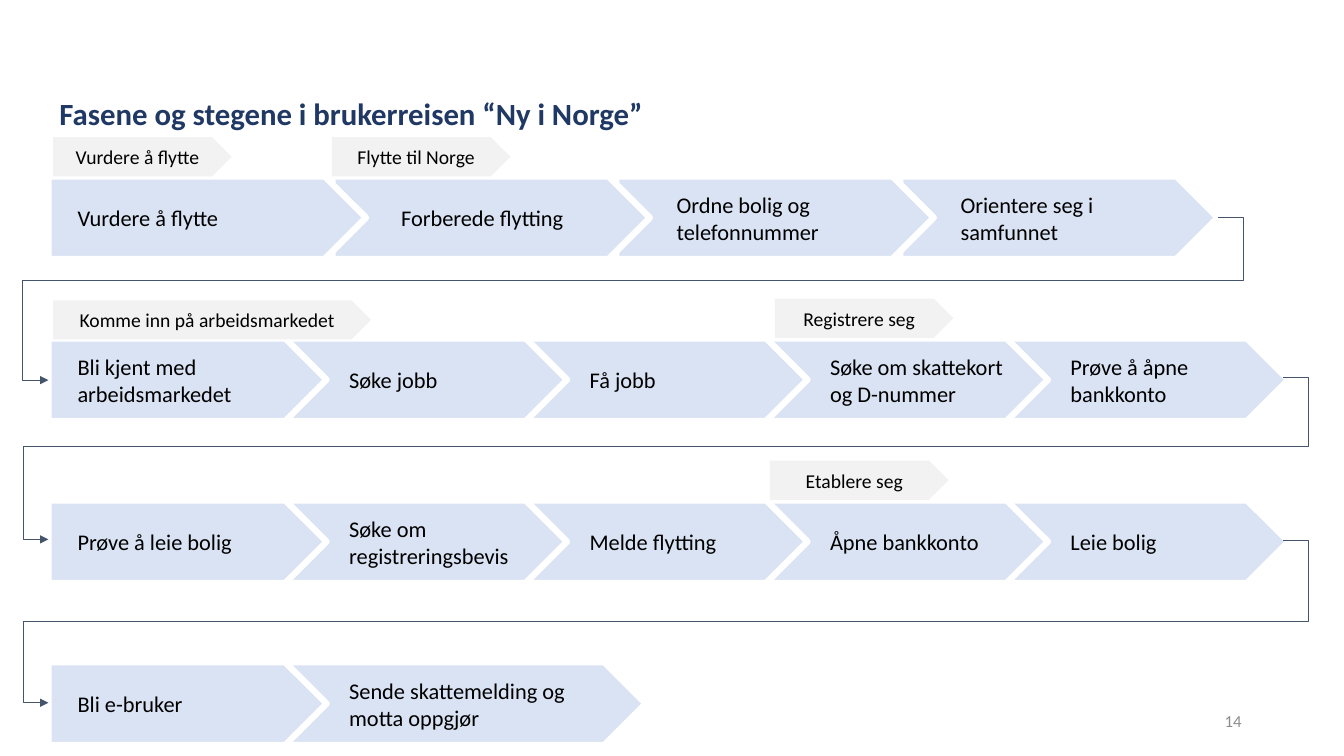
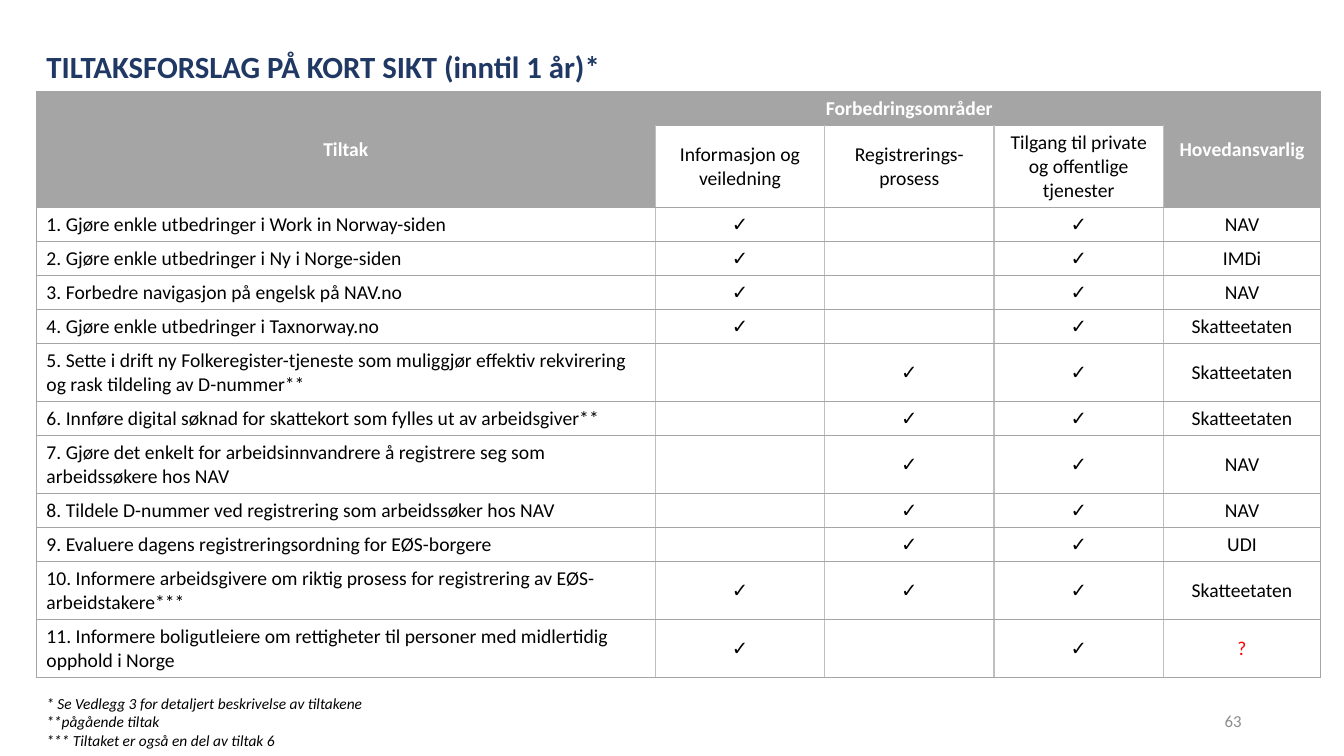
from lxml import etree
from pptx import Presentation
from pptx.dml.color import RGBColor
from pptx.enum.shapes import MSO_CONNECTOR, MSO_SHAPE
from pptx.enum.text import MSO_ANCHOR, MSO_AUTO_SIZE, PP_ALIGN
from pptx.oxml.ns import qn
from pptx.util import Pt

LEFT, CENTER, RIGHT = PP_ALIGN.LEFT, PP_ALIGN.CENTER, PP_ALIGN.RIGHT
TOP, MIDDLE = MSO_ANCHOR.TOP, MSO_ANCHOR.MIDDLE
PENTAGON, ELBOW = MSO_SHAPE.PENTAGON, MSO_CONNECTOR.ELBOW
NO_AUTOFIT = MSO_AUTO_SIZE.NONE

FONT = "Calibri"
NAVY = RGBColor(0x20, 0x38, 0x64)
SLATE = RGBColor(0x44, 0x54, 0x6A)
PALE_BLUE = RGBColor(0xDA, 0xE3, 0xF3)
PALE_GREY = RGBColor(0xF2, 0xF2, 0xF2)
HEADER_GREY = RGBColor(0xA5, 0xA5, 0xA5)
RULE_GREY = RGBColor(0xBF, 0xBF, 0xBF)
NUMBER_GREY = RGBColor(0x8C, 0x8C, 0x8C)
BLACK = RGBColor(0, 0, 0)
WHITE = RGBColor(255, 255, 255)
RED = RGBColor(255, 0, 0)

# Journey: one (step pitch, step width, steps) per row
JOURNEY_TITLE = "Fasene og stegene i brukerreisen “Ny i Norge”"
JOURNEY = [
    (202.8, 226.8, ["Vurdere å flytte", "Forberede flytting",
                    "Ordne bolig og telefonnummer", "Orientere seg i samfunnet"]),
    (171.75, 198.7, ["Bli kjent med arbeidsmarkedet", "Søke jobb", "Få jobb",
                     "Søke om skattekort og D-nummer", "Prøve å åpne bankkonto"]),
    (171.75, 198.7, ["Prøve å leie bolig", "Søke om registreringsbevis",
                     "Melde flytting", "Åpne bankkonto", "Leie bolig"]),
    (171.75, 198.7, ["Bli e-bruker", "Sende skattemelding og motta oppgjør"]),
]
SPECIAL_INDENTS = {"Forberede flytting": 42}
SPECIAL_WIDTHS = {"Sende skattemelding og motta oppgjør": 254.9}
# Phase: text, left, top, width
PHASES = [
    ("Vurdere å flytte", 38, 98, 127.5),
    ("Flytte til Norge", 237, 98, 127.5),
    ("Komme inn på arbeidsmarkedet", 38, 214.5, 227),
    ("Registrere seg", 553.5, 213.3, 127.5),
    ("Etablere seg", 550, 329, 127.5),
]
# Link to the next row: start x, start y, y of the long run
LINKS = [(869.8, 155.5, 200.2), (916.6, 269.3, 319), (916.6, 386, 443.5)]
ROW_LEFT, ROW_TOP, ROW_PITCH, STEP_HEIGHT = 34.6, 126, 115.7, 59
LINK_DROP, LINK_MARGIN = 116, 18

# Measures: text, areas improved (1-3), main responsible
MEASURES_TITLE = "TILTAKSFORSLAG PÅ KORT SIKT (inntil 1 år)*"
AREAS = ["Informasjon og veiledning", "Registrerings-prosess",
         "Tilgang til private og offentlige tjenester"]
MEASURES = [
    ("1. Gjøre enkle utbedringer i Work in Norway-siden", (1, 3), "NAV"),
    ("2. Gjøre enkle utbedringer i Ny i Norge-siden", (1, 3), "IMDi"),
    ("3. Forbedre navigasjon på engelsk på NAV.no", (1, 3), "NAV"),
    ("4. Gjøre enkle utbedringer i Taxnorway.no", (1, 3), "Skatteetaten"),
    ("5. Sette i drift ny Folkeregister-tjeneste som muliggjør effektiv "
     "rekvirering og rask tildeling av D-nummer**", (2, 3), "Skatteetaten"),
    ("6. Innføre digital søknad for skattekort som fylles ut av arbeidsgiver**",
     (2, 3), "Skatteetaten"),
    ("7. Gjøre det enkelt for arbeidsinnvandrere å registrere seg som "
     "arbeidssøkere hos NAV", (2, 3), "NAV"),
    ("8. Tildele D-nummer ved registrering som arbeidssøker hos NAV", (2, 3), "NAV"),
    ("9. Evaluere dagens registreringsordning for EØS-borgere", (2, 3), "UDI"),
    ("10. Informere arbeidsgivere om riktig prosess for registrering av "
     "EØS-arbeidstakere***", (1, 2, 3), "Skatteetaten"),
    ("11. Informere boligutleiere om rettigheter til personer med midlertidig "
     "opphold i Norge", (1, 3), "?"),
]
FOOTNOTES = ["* Se Vedlegg 3 for detaljert beskrivelse av tiltakene",
             "**pågående tiltak", "*** Tiltaket er også en del av tiltak 6"]
COLUMN_WIDTHS = [442.1, 121, 121, 121, 112.3]
TEXT_LINE, CELL_PADDING, LINE_CHARS = 17.1, 7.2, 75


def style_text(frame, size, color, align=LEFT, bold=False, italic=False):
    frame.word_wrap = True
    for paragraph in frame.paragraphs:
        paragraph.alignment = align
        for run in paragraph.runs:
            font = run.font
            font.name, font.size = FONT, Pt(size)
            font.bold, font.italic = bold, italic
            font.color.rgb = color


def add_text(slide, box, text, size, color, anchor=TOP, **style):
    frame = slide.shapes.add_textbox(*map(Pt, box)).text_frame
    frame.text = text
    frame.vertical_anchor = anchor
    style_text(frame, size, color, **style)


def add_slide(deck, title_text, title_box, number):
    slide = deck.slides.add_slide(deck.slide_layouts[5])
    title = slide.shapes.title
    title.left, title.top, title.width, title.height = map(Pt, title_box)
    frame = title.text_frame
    frame.text = title_text
    frame.auto_size = NO_AUTOFIT
    frame.vertical_anchor = MIDDLE
    style_text(frame, 22, NAVY, bold=True)
    add_text(slide, (678, 500.5, 216, 28.8), number, 12, NUMBER_GREY,
             anchor=MIDDLE, align=RIGHT)
    return slide


def add_pentagon(slide, box, text, size, fill, align=LEFT, outlined=False, indent=0):
    pentagon = slide.shapes.add_shape(PENTAGON, *map(Pt, box))
    pentagon.shadow.inherit = False
    pentagon.fill.solid()
    pentagon.fill.fore_color.rgb = fill
    if outlined:
        pentagon.line.color.rgb = WHITE
        pentagon.line.width = Pt(4.5)
    else:
        pentagon.line.fill.background()
    frame = pentagon.text_frame
    frame.text = text
    frame.vertical_anchor = MIDDLE
    frame.paragraphs[0]._p.get_or_add_pPr().set("marL", str(Pt(indent)))
    style_text(frame, size, BLACK, align)


def add_link(slide, start_x, start_y, turn_y):
    link = slide.shapes.add_connector(ELBOW, Pt(start_x), Pt(start_y),
                                      Pt(ROW_LEFT), Pt(start_y + LINK_DROP))
    link.line.color.rgb = SLATE
    link.line.width = Pt(0.5)
    # Five-part elbow that swings out on both sides
    overshoot = LINK_MARGIN / (start_x - ROW_LEFT)
    bends = [-overshoot, (turn_y - start_y) / LINK_DROP, 1 + overshoot]
    properties = link._element.spPr
    geometry = properties.find(qn("a:prstGeom"))
    geometry.set("prst", "bentConnector5")
    guides = geometry.find(qn("a:avLst"))
    for index, bend in enumerate(bends, 1):
        etree.SubElement(guides, qn("a:gd"), name=f"adj{index}",
                         fmla=f"val {round(bend * 100000)}")
    etree.SubElement(properties.find(qn("a:ln")), qn("a:tailEnd"), type="triangle")
    etree.SubElement(properties, qn("a:effectLst"))


def fill_cell(cell, text, fill, color, align, bold, borders):
    cell_properties = cell._tc.get_or_add_tcPr()
    for side, (border_color, width) in zip("LRTB", borders):
        line = etree.SubElement(cell_properties, qn(f"a:ln{side}"), w=str(Pt(width)))
        solid = etree.SubElement(line, qn("a:solidFill"))
        etree.SubElement(solid, qn("a:srgbClr"), val=str(border_color))
    cell.fill.solid()
    cell.fill.fore_color.rgb = fill
    cell.vertical_anchor = MIDDLE
    cell.text_frame.text = text
    style_text(cell.text_frame, 14, color, align, bold)
    if not text:
        cell.text_frame.paragraphs[0].font.size = Pt(14)


def build_journey(deck):
    slide = add_slide(deck, JOURNEY_TITLE, (35.3, 28.8, 796, 104.4), "14")
    # Steps, from right to left so that each tip lies over the next step
    for row, (pitch, width, steps) in enumerate(JOURNEY):
        for column, step in reversed(list(enumerate(steps))):
            box = (ROW_LEFT + column * pitch, ROW_TOP + row * ROW_PITCH,
                   SPECIAL_WIDTHS.get(step, width), STEP_HEIGHT)
            indent = SPECIAL_INDENTS.get(step, 36 if column else 13.7)
            add_pentagon(slide, box, step, 16, PALE_BLUE, outlined=True, indent=indent)
    for link in LINKS:
        add_link(slide, *link)
    for phase, left, top, width in PHASES:
        add_pentagon(slide, (left, top, width, 28), phase, 14, PALE_GREY, CENTER)


def build_measures(deck):
    slide = add_slide(deck, MEASURES_TITLE, (26, 29, 907, 36), "63")
    rows = [["Tiltak", "Forbedringsområder", "", "", "Hovedansvarlig"], ["", *AREAS, ""]]
    line_counts = [1, 3]
    for measure, areas, responsible in MEASURES:
        ticks = ["✓" if area in areas else "" for area in (1, 2, 3)]
        rows.append([measure, *ticks, responsible])
        line_counts.append(2 if len(measure) > LINE_CHARS else 1)
    heights = [count * TEXT_LINE + CELL_PADDING for count in line_counts]

    # Table grid
    last = len(COLUMN_WIDTHS) - 1
    table = slide.shapes.add_table(len(rows), last + 1, Pt(26), Pt(65.5),
                                   Pt(sum(COLUMN_WIDTHS)), Pt(sum(heights))).table
    table.first_row = table.horz_banding = False
    for column, width in zip(table.columns, COLUMN_WIDTHS):
        column.width = Pt(width)
    for row, height in zip(table.rows, heights):
        row.height = Pt(height)

    # Cells
    outer, inner = (HEADER_GREY, 0.5), (RULE_GREY, 1)
    for r, texts in enumerate(rows):
        for c, text in enumerate(texts):
            header = r == 0 or (r == 1 and c in (0, last))
            color = WHITE if header else RED if text == "?" else BLACK
            borders = (outer if header or c == 0 else inner,
                       outer if header or c == last else inner, outer, outer)
            fill_cell(table.cell(r, c), text, HEADER_GREY if header else WHITE, color,
                      LEFT if c == 0 and r > 1 else CENTER, header, borders)
    for first, final in [((0, 0), (1, 0)), ((0, 1), (0, 3)), ((0, last), (1, last))]:
        table.cell(*first).merge(table.cell(*final))

    add_text(slide, (26, 492, 268.6, 47.5), "\n".join(FOOTNOTES), 11, BLACK, italic=True)


def main():
    deck = Presentation()
    deck.slide_width, deck.slide_height = Pt(960), Pt(540)
    build_journey(deck)
    build_measures(deck)
    deck.save("out.pptx")


if __name__ == "__main__":
    main()
